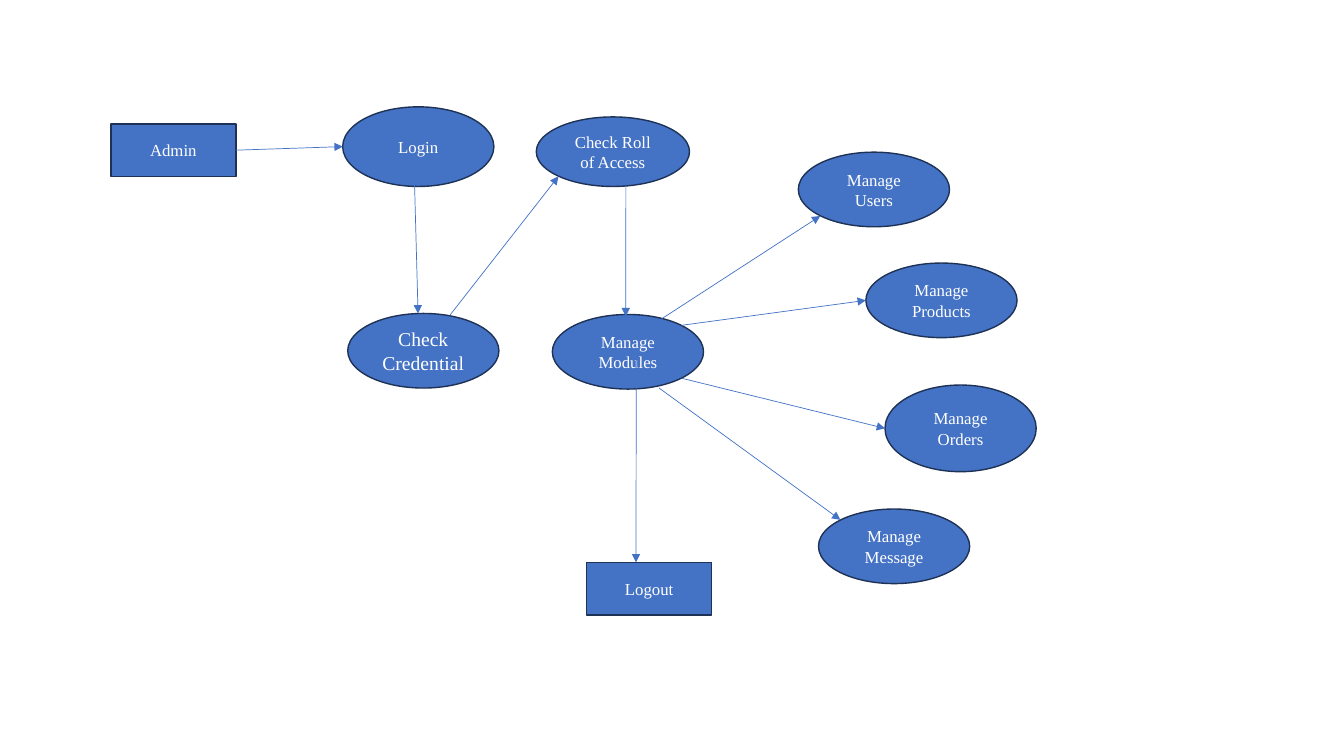
"""Draw the admin data flow: login, access check, modules and logout."""
from lxml import etree
from pptx import Presentation
from pptx.dml.color import RGBColor
from pptx.enum.shapes import MSO_CONNECTOR, MSO_SHAPE
from pptx.enum.text import MSO_ANCHOR, PP_ALIGN
from pptx.oxml.ns import qn
from pptx.util import Inches, Pt

RECT, OVAL = MSO_SHAPE.RECTANGLE, MSO_SHAPE.OVAL
STRAIGHT = MSO_CONNECTOR.STRAIGHT
CENTER, MIDDLE = PP_ALIGN.CENTER, MSO_ANCHOR.MIDDLE
FONT = "Times New Roman"
BLUE, NAVY, WHITE = "4472C4", "1E3256", "FFFFFF"
COLUMNS, ROWS = 133.33, 75
CELL = Inches(0.1)
RECT_RIGHT_SITE = 3

# name: (preset, text, column, row, columns wide, rows high, text size)
STEPS = {
    "admin": (RECT, "Admin", 11, 12.3, 12.4, 5.2, 12),
    "logout": (RECT, "Logout", 58.2, 55.8, 12.4, 5.2, 12),
    "login": (OVAL, "Login", 34, 10.6, 15, 7.9, 12),
    "credential": (OVAL, "Check Credential", 34.5, 31.1, 15, 7.4, 14),
    "role": (OVAL, "Check Roll of Access", 53.2, 11.6, 15.2, 6.9, 12),
    "modules": (OVAL, "Manage Modules", 54.8, 31.2, 15, 7.4, 12),
    "users": (OVAL, "Manage Users", 79.2, 15.1, 15, 7.4, 12),
    "products": (OVAL, "Manage\nProducts", 85.9, 26.1, 15, 7.4, 12),
    "orders": (OVAL, "Manage Orders", 87.8, 38.2, 15, 8.6, 12),
    "message": (OVAL, "Manage Message", 81.2, 50.5, 15, 7.4, 12),
}

# Ends are offsets from a step's centre, as shares of its half width and height
LEFT, RIGHT, TOP = (-1, 0), (1, 0), (0, -1)
UPPER_LEFT, LOWER_LEFT = (-0.71, -0.71), (-0.71, 0.71)
UPPER_RIGHT, LOWER_RIGHT = (0.71, -0.71), (0.71, 0.71)
FLOWS = [
    ("admin", RIGHT, "login", LEFT),
    ("login", (-0.05, 0.92), "credential", (-0.07, -1)),
    ("credential", (0.35, -0.95), "role", LOWER_LEFT),
    ("role", (0.17, 1), "modules", (-0.03, -0.95)),
    ("modules", UPPER_RIGHT, "products", LEFT),
    ("modules", (0.45, -0.89), "users", LOWER_LEFT),
    ("modules", LOWER_RIGHT, "orders", LEFT),
    ("modules", (0.41, 0.97), "message", UPPER_LEFT),
    ("modules", (0.11, 0.03), "logout", (-0.21, -1)),
]


def color(value):
    return RGBColor.from_string(value)


def write(frame, text, *, size, ink=WHITE, font=FONT):
    frame.word_wrap = True
    frame.vertical_anchor = MIDDLE
    frame.text = text
    for paragraph in frame.paragraphs:
        paragraph.alignment = CENTER
        for run in paragraph.runs:
            run.font.name, run.font.size = font, Pt(size)
            run.font.color.rgb = color(ink)


def add_step(slide, preset, text, column, row, wide, high, size):
    box = [round(length * CELL) for length in (column, row, wide, high)]
    step = slide.shapes.add_shape(preset, *box)
    step.shadow.inherit = False
    step.fill.solid()
    step.fill.fore_color.rgb = color(BLUE)
    step.line.color.rgb = color(NAVY)
    step.line.width = Pt(1)
    write(step.text_frame, text, size=size)
    return step


def end_point(step, offset):
    across, down = offset
    return (round(step.left + step.width * (1 + across) / 2),
            round(step.top + step.height * (1 + down) / 2))


def add_flow(slide, source, leave, target, arrive):
    flow = slide.shapes.add_connector(
        STRAIGHT, *end_point(source, leave), *end_point(target, arrive))
    if source.auto_shape_type == RECT and leave == RIGHT:
        flow.begin_connect(source, RECT_RIGHT_SITE)
    flow.line.color.rgb = color(BLUE)
    flow.line.width = Pt(0.5)
    etree.SubElement(flow.line._get_or_add_ln(), qn("a:tailEnd"), type="triangle")
    etree.SubElement(flow._element.spPr, qn("a:effectLst"))


def main():
    deck = Presentation()
    deck.slide_width = round(COLUMNS * CELL)
    deck.slide_height = ROWS * CELL
    slide = deck.slides.add_slide(deck.slide_layouts[6])
    steps = {name: add_step(slide, *step) for name, step in STEPS.items()}
    for source, leave, target, arrive in FLOWS:
        add_flow(slide, steps[source], leave, steps[target], arrive)
    deck.save("out.pptx")


if __name__ == "__main__":
    main()
